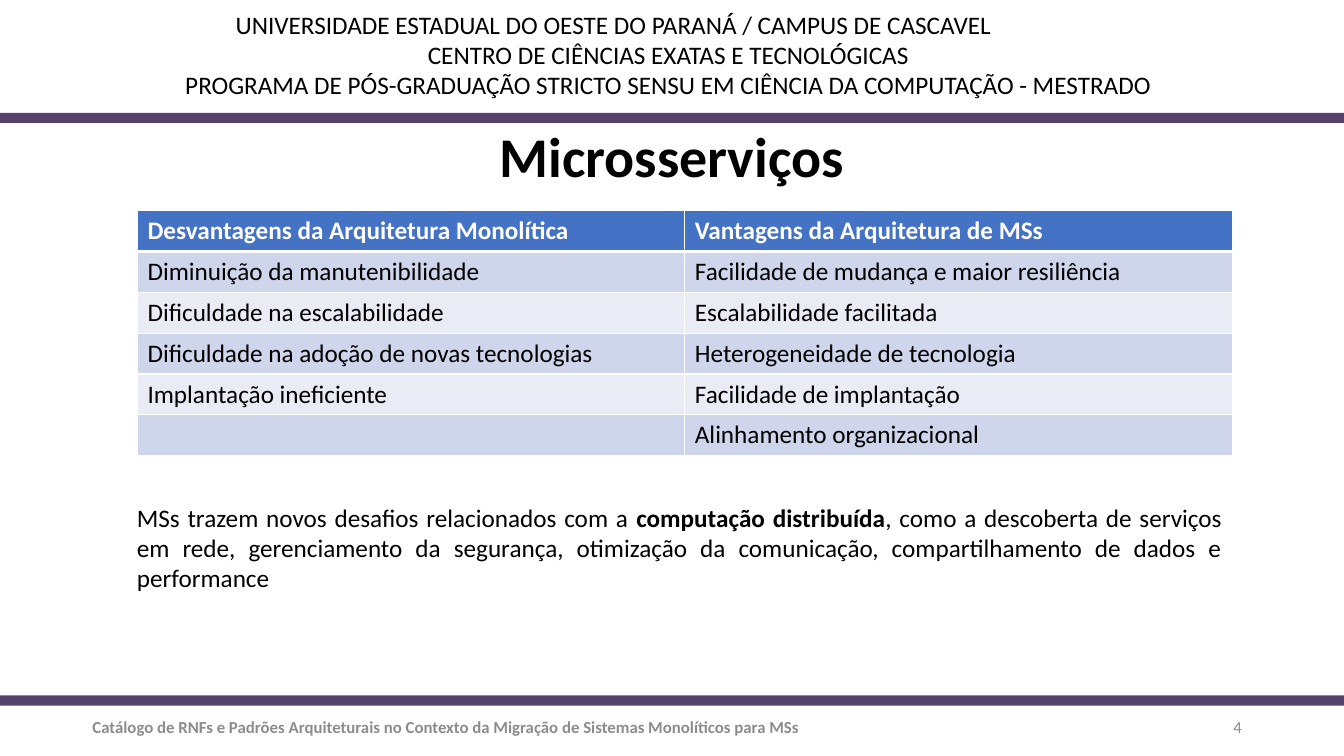
import pptx
import pptx.dml.color
import pptx.enum.shapes
import pptx.enum.text
import pptx.oxml
import pptx.oxml.ns
import pptx.util

Pt = pptx.util.Pt
ALIGN = pptx.enum.text.PP_ALIGN
ANCHOR = pptx.enum.text.MSO_ANCHOR
SLIDE_WIDTH, SLIDE_HEIGHT = 960, 540
BLACK, WHITE, GRAY, PURPLE, BLUE = "000000", "FFFFFF", "8C8C8C", "53436B", "4472C4"
BANDS = ["CFD5EA", "E9EBF5"]

HEADER_LINES = [
    "UNIVERSIDADE ESTADUAL DO OESTE DO PARANÁ / CAMPUS DE CASCAVEL",
    "CENTRO DE CIÊNCIAS EXATAS E TECNOLÓGICAS",
    "PROGRAMA DE PÓS-GRADUAÇÃO STRICTO SENSU EM CIÊNCIA DA COMPUTAÇÃO - MESTRADO",
]
COMPARISON = [
    ("Desvantagens da Arquitetura Monolítica", "Vantagens da Arquitetura de MSs"),
    ("Diminuição da manutenibilidade", "Facilidade de mudança e maior resiliência"),
    ("Dificuldade na escalabilidade", "Escalabilidade facilitada"),
    ("Dificuldade na adoção de novas tecnologias", "Heterogeneidade de tecnologia"),
    ("Implantação ineficiente", "Facilidade de implantação"),
    ("", "Alinhamento organizacional"),
]
CHALLENGES = [
    ("MSs trazem novos desafios relacionados com a ", False),
    ("computação distribuída", True),
    (", como a descoberta de serviços em rede, gerenciamento da segurança, otimização da "
     "comunicação, compartilhamento de dados e performance", False),
]


def color(value):
    """Turn a hex string into a colour."""
    return pptx.dml.color.RGBColor.from_string(value)


def set_values(target, values):
    """Set the attributes of an object from a dict."""
    for name, value in values.items():
        setattr(target, name, value)


def add_run(paragraph, text, size=18, bold=False, hex_color=BLACK):
    """Add a formatted run to a paragraph."""
    run = paragraph.add_run()
    run.text = text
    set_values(run.font, {"name": "Calibri", "size": Pt(size), "bold": bold})
    run.font.color.rgb = color(hex_color)


def add_text(slide, box, paragraphs, alignment, anchor=ANCHOR.TOP, **style):
    """Add a text box whose paragraphs are lists of text and bold pairs."""
    frame = slide.shapes.add_textbox(*map(Pt, box)).text_frame
    set_values(frame, {"word_wrap": True, "vertical_anchor": anchor})
    for index, runs in enumerate(paragraphs):
        paragraph = frame.add_paragraph() if index else frame.paragraphs[0]
        paragraph.alignment = alignment
        for text, bold in runs:
            add_run(paragraph, text, bold=bold, **style)
    return frame


def add_bar(slide, top):
    """Add a purple bar across the slide."""
    bar = slide.shapes.add_shape(
        pptx.enum.shapes.MSO_SHAPE.RECTANGLE, 0, Pt(top), Pt(SLIDE_WIDTH), Pt(7.2))
    bar.shadow.inherit = False
    bar.fill.solid()
    bar.fill.fore_color.rgb = color(PURPLE)
    bar.line.fill.background()


def add_header(slide, left, top, width, height):
    """Add the institution lines, the bar below them and the title."""
    lines = [[(line, False)] for line in HEADER_LINES]
    frame = add_text(slide, (left, top, width, height), lines, ALIGN.CENTER)
    university = frame.paragraphs[0]
    university.alignment = ALIGN.LEFT
    university._p.get_or_add_pPr().set("marL", str(Pt(41)))
    add_bar(slide, top + height + 5)
    title = add_text(slide, (20.16, top + height + 12.9, 919.44, 59.04),
                     [[("Microsserviços", True)]], ALIGN.CENTER, size=40)
    title.paragraphs[0].line_spacing = 0.9


def add_borders(cell, bottom_width):
    """Draw white borders around a table cell."""
    properties = cell._tc.get_or_add_tcPr()
    widths = {"lnL": 1, "lnR": 1, "lnT": 1, "lnB": bottom_width}
    for index, (tag, width) in enumerate(widths.items()):
        properties.insert(index, pptx.oxml.parse_xml(
            f'<a:{tag} {pptx.oxml.ns.nsdecls("a")} w="{Pt(width)}"><a:solidFill>'
            f'<a:srgbClr val="{WHITE}"/></a:solidFill></a:{tag}>'))


def add_comparison(slide, left, top, width, height):
    """Add the table of drawbacks and advantages."""
    table = slide.shapes.add_table(
        len(COMPARISON), 2, *map(Pt, (left, top, width, height))).table
    for row_index, texts in enumerate(COMPARISON):
        is_heading = row_index == 0
        table.rows[row_index].height = Pt(height / len(COMPARISON))
        for column_index, text in enumerate(texts):
            cell = table.cell(row_index, column_index)
            cell.fill.solid()
            cell.fill.fore_color.rgb = color(BLUE if is_heading else BANDS[(row_index - 1) % 2])
            add_borders(cell, 3 if is_heading else 1)
            if text:
                add_run(cell.text_frame.paragraphs[0], text, bold=is_heading,
                        hex_color=WHITE if is_heading else BLACK)


def add_footer(slide, left, top, width, height):
    """Add the bar, the work's title and the slide number."""
    add_bar(slide, top - 8)
    style = {"anchor": ANCHOR.MIDDLE, "size": 12, "hex_color": GRAY}
    work = ("Catálogo de RNFs e Padrões Arquiteturais no Contexto da Migração "
            "de Sistemas Monolíticos para MSs")
    add_text(slide, (left, top, 583.2, height), [[(work, True)]], ALIGN.LEFT, **style)
    add_text(slide, (left + width - 154, top, 154, height), [[("4", False)]],
             ALIGN.RIGHT, **style)


def main():
    """Build the slide and save it."""
    presentation = pptx.Presentation()
    set_values(presentation, {"slide_width": Pt(SLIDE_WIDTH), "slide_height": Pt(SLIDE_HEIGHT)})
    slide = presentation.slides.add_slide(presentation.slide_layouts[6])
    add_header(slide, 120.24, 2.9, 714.24, 72.7)
    add_comparison(slide, 98.2, 150.6, 782, 175)
    add_text(slide, (90.72, 355, 789.12, 72.7), [CHALLENGES], ALIGN.JUSTIFY)
    add_footer(slide, 59, 504.8, 835.2, 28.8)
    presentation.save("out.pptx")


if __name__ == "__main__":
    main()
